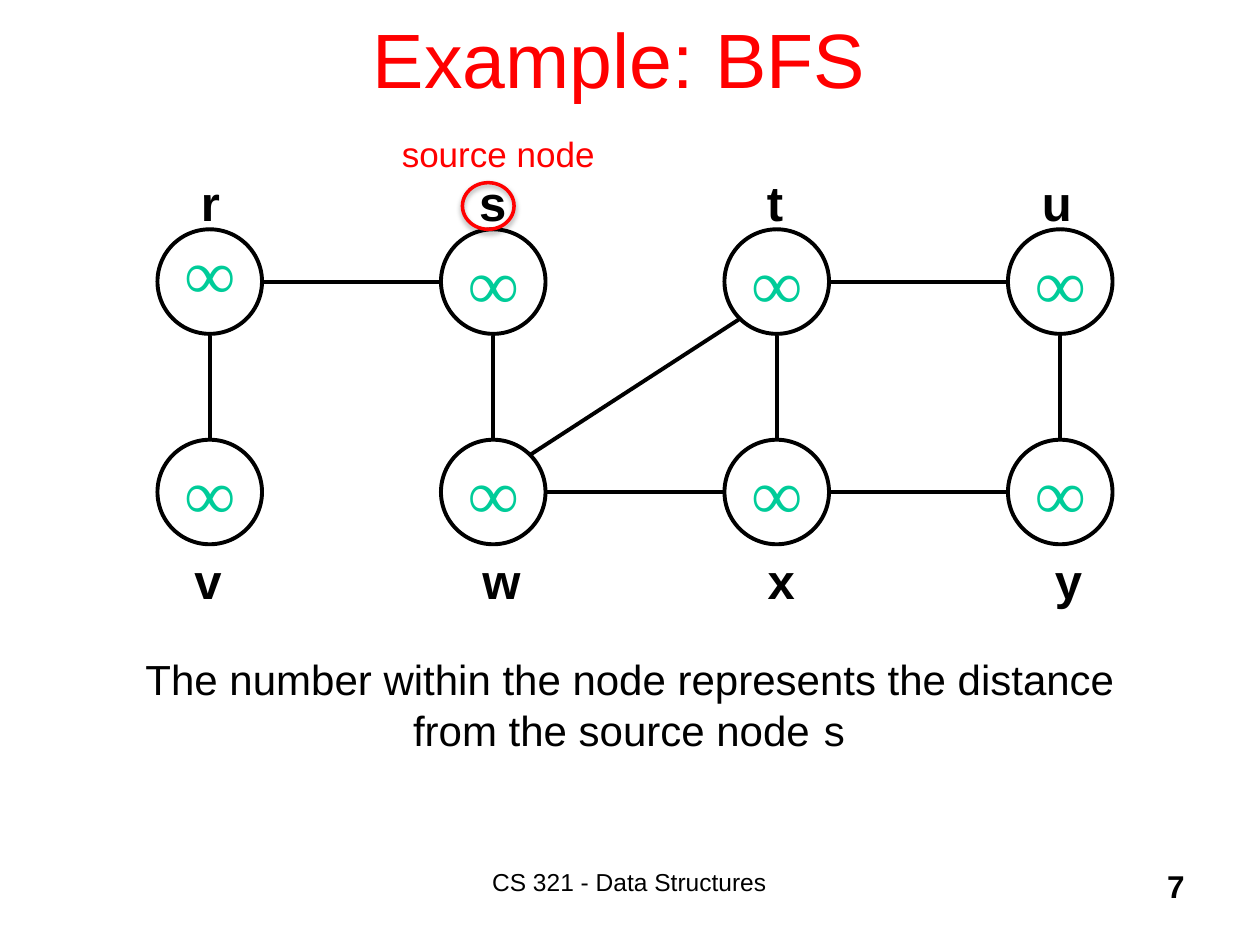
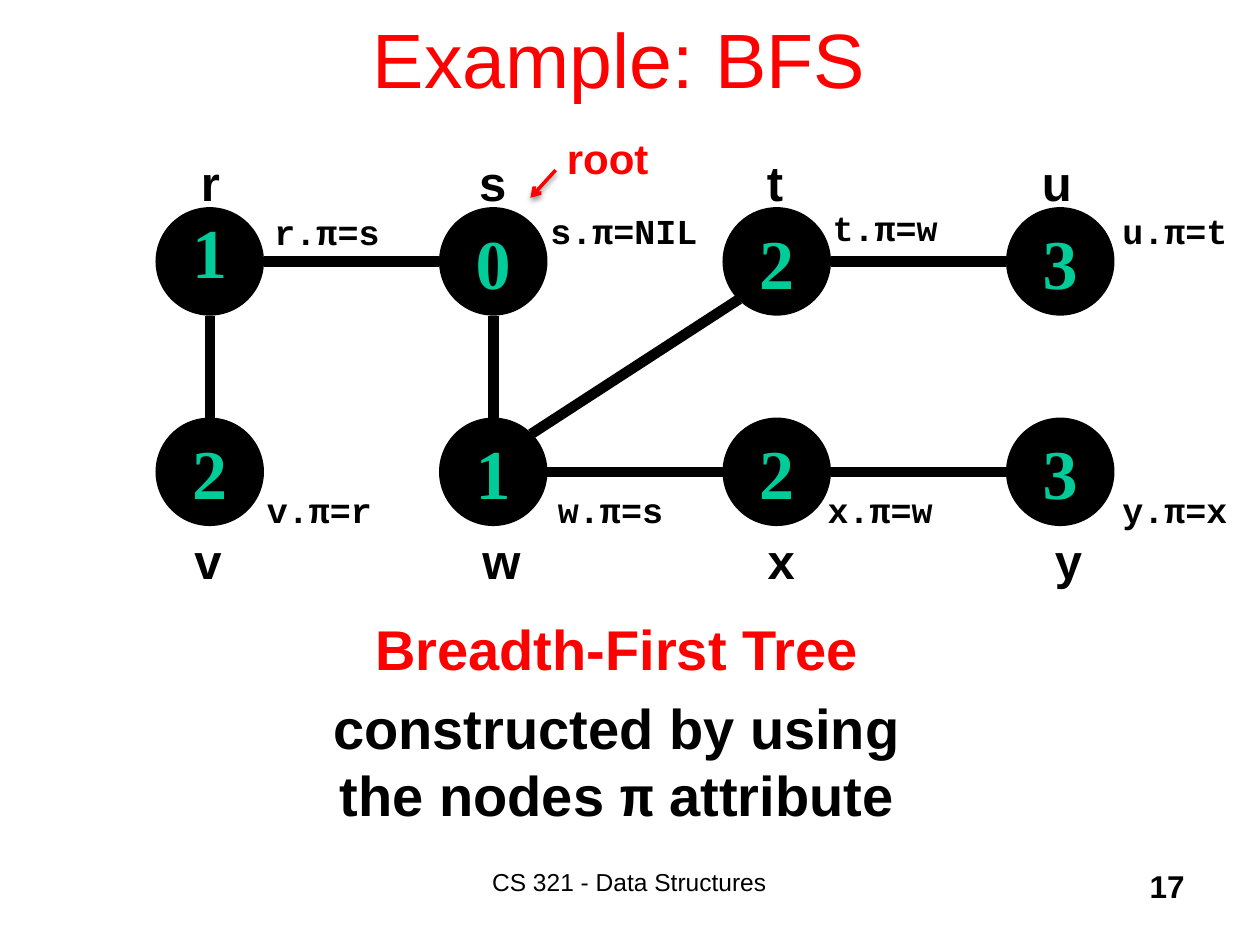
"""Builds two slides of a breadth-first search example on an eight-node graph."""
from lxml import etree
from pptx import Presentation
from pptx.dml.color import RGBColor
from pptx.enum.shapes import MSO_CONNECTOR, MSO_SHAPE
from pptx.enum.text import MSO_ANCHOR, MSO_AUTO_SIZE, PP_ALIGN
from pptx.oxml.ns import qn
from pptx.util import Inches, Pt

LEFT, CENTER, RIGHT = PP_ALIGN.LEFT, PP_ALIGN.CENTER, PP_ALIGN.RIGHT
TOP, MIDDLE = MSO_ANCHOR.TOP, MSO_ANCHOR.MIDDLE
FIXED, GROW = MSO_AUTO_SIZE.NONE, MSO_AUTO_SIZE.SHAPE_TO_FIT_TEXT
OVAL, STRAIGHT = MSO_SHAPE.OVAL, MSO_CONNECTOR.STRAIGHT

BLACK = RGBColor(0x00, 0x00, 0x00)
RED = RGBColor(0xFF, 0x00, 0x00)
GREEN = RGBColor(0x00, 0xCC, 0x99)
SANS, MONO, SERIF = "Arial", "Courier New", "Times New Roman"

DIAMETER, COLUMN_STEP, ROW_STEP = 0.83, 2.25, 1.67
FIRST_LEFT = 1.25
EDGE_REACH, DIAGONAL_REACH = 0.43, 0.3
LABEL_WIDTH = 0.42
NODES = {
    "r": (0, 0, 1.67), "s": (1, 0, 3.91), "t": (2, 0, 6.15), "u": (3, 0, 8.38),
    "v": (0, 1, 1.65), "w": (1, 1, 3.94), "x": (2, 1, 6.2), "y": (3, 1, 8.48),
}
TREE_EDGES = ["rv", "rs", "sw", "wt", "wx", "tu", "xy"]


def write(page, text, at, shape=None, size=20, font=SANS, color=BLACK, bold=False,
          align=LEFT, anchor=TOP, wrap=True, fit=GROW, before=0.2, spacing=None):
    """Writes text, or paragraphs of (text, font, colour) spans, in a shape or new box."""
    box = shape or page.shapes.add_textbox(*map(Inches, at))
    frame = box.text_frame
    frame.word_wrap, frame.auto_size, frame.vertical_anchor = wrap, fit, anchor
    paragraphs = [[(text, font, color)]] if isinstance(text, str) else text
    for index, spans in enumerate(paragraphs):
        para = frame.add_paragraph() if index else frame.paragraphs[0]
        para.alignment = align
        para.space_before = Pt(size * before)
        if spacing:
            para.line_spacing = spacing
        for words, face, ink in spans:
            span = para.add_run()
            span.text = words
            span.font.name, span.font.size, span.font.bold = face, Pt(size), bold
            span.font.color.rgb = ink


def outline(shape, color, width, shadow_alpha=None):
    """Sets the line of a shape or connector and replaces its theme shadow."""
    shape.line.color.rgb = color
    shape.line.width = Pt(width)
    effects = etree.SubElement(shape._element.spPr, qn("a:effectLst"))
    if shadow_alpha:
        shadow = etree.SubElement(effects, qn("a:outerShdw"), blurRad=str(Pt(3.1)),
                                  dist=str(Pt(1.8)), dir="5400000", rotWithShape="0")
        ink = etree.SubElement(shadow, qn("a:srgbClr"), val=str(BLACK))
        etree.SubElement(ink, qn("a:alpha"), val=str(shadow_alpha * 1000))


deck = Presentation()
deck.slide_width, deck.slide_height = Inches(10), Inches(7.5)

graphs = [
    ("7", 1.82, dict.fromkeys(NODES, "∞"), None, TREE_EDGES + ["tx", "uy"], 2.25),
    ("17", 1.66, dict(zip("rstuvwxy", "10232123")), BLACK, TREE_EDGES, 6),
]
pages = []
for number, first_top, distances, fill, edges, edge_width in graphs:
    page = deck.slides.add_slide(deck.slide_layouts[6])
    pages.append(page)
    write(page, "Example: BFS ", (0.75, -0.17, 8.5, 1.25), size=44, color=RED,
          align=CENTER, anchor=MIDDLE, fit=FIXED, before=0)

    centers = {}
    for name, (column, row, label_center) in NODES.items():
        left = FIRST_LEFT + column * COLUMN_STEP
        top = first_top + row * ROW_STEP
        centers[name] = (left + DIAMETER / 2, top + DIAMETER / 2)
        node = page.shapes.add_shape(OVAL, Inches(left), Inches(top),
                                     Inches(DIAMETER), Inches(DIAMETER))
        if fill is None:
            node.fill.background()
        else:
            node.fill.solid()
            node.fill.fore_color.rgb = fill
        outline(node, BLACK, 2.25)
        write(page, distances[name], None, shape=node, size=40, font=SERIF, color=GREEN,
              bold=True, align=CENTER, anchor=MIDDLE, wrap=False, fit=FIXED,
              spacing=0.7 if name == "r" else None)
        label_top = top + DIAMETER if row else top - 0.5
        write(page, name, (label_center - LABEL_WIDTH / 2, label_top, LABEL_WIDTH, 0.57),
              size=28, bold=True, align=CENTER, wrap=False)

    for start, end in edges:
        (x1, y1), (x2, y2) = centers[start], centers[end]
        across, down = (x2 > x1) - (x2 < x1), (y2 > y1) - (y2 < y1)
        reach = DIAGONAL_REACH if across and down else EDGE_REACH
        edge = page.shapes.add_connector(
            STRAIGHT, Inches(x1 + across * reach), Inches(y1 + down * reach),
            Inches(x2 - across * reach), Inches(y2 - down * reach))
        outline(edge, BLACK, edge_width)

    write(page, "CS 321 - Data Structures", (3.08, 6.83, 3.83, 0.5), size=14,
          align=CENTER, fit=FIXED, before=0)
    write(page, number, (7.42, 6.83, 2.08, 0.5), size=18, bold=True, align=RIGHT,
          fit=FIXED, before=0)

start_page, tree_page = pages

write(start_page, [[("The number within the node represents the distance from the source node ",
                     SANS, BLACK), ("s", MONO, BLACK)]],
      (0.97, 5.14, 8.06, 0.91), size=24, align=CENTER)
source_ring = start_page.shapes.add_shape(OVAL, Inches(3.67), Inches(1.45),
                                          Inches(0.41), Inches(0.37))
source_ring.fill.background()
outline(source_ring, RED, 2, shadow_alpha=35)
write(start_page, "source node", (3.09, 1, 1.82, 0.44), color=RED)

parent_notes = [
    ("r.π=s", 2.08, 1.62, 1.11), ("s.π=NIL", 4.27, 1.61, 1.47),
    ("t.π=w", 6.51, 1.59, 1.13), ("u.π=t", 8.81, 1.61, 1.06),
    ("v.π=r", 2.02, 3.83, 1.1), ("w.π=s", 4.33, 3.83, 1.12),
    ("x.π=w", 6.47, 3.83, 1.04), ("y.π=x", 8.81, 3.83, 1.06),
]
for note, left, top, width in parent_notes:
    write(tree_page, note, (left, top, width, 0.44), font=MONO, bold=True)

root_arrow = tree_page.shapes.add_connector(STRAIGHT, Inches(4.41), Inches(1.35),
                                            Inches(4.21), Inches(1.57))
outline(root_arrow, RED, 2, shadow_alpha=38)
etree.SubElement(root_arrow.line._get_or_add_ln(), qn("a:tailEnd"), type="arrow")
write(tree_page, "root", (4.4, 1, 1.05, 0.5), size=24, color=RED, bold=True)
write(tree_page, [[("Breadth-First Tree", SANS, RED)],
                  [("constructed by using the nodes ", SANS, BLACK), ("π", MONO, BLACK),
                   (" attribute", SANS, BLACK)]],
      (2.25, 4.83, 5.29, 1.82), size=32, bold=True, align=CENTER)

deck.save("out.pptx")
